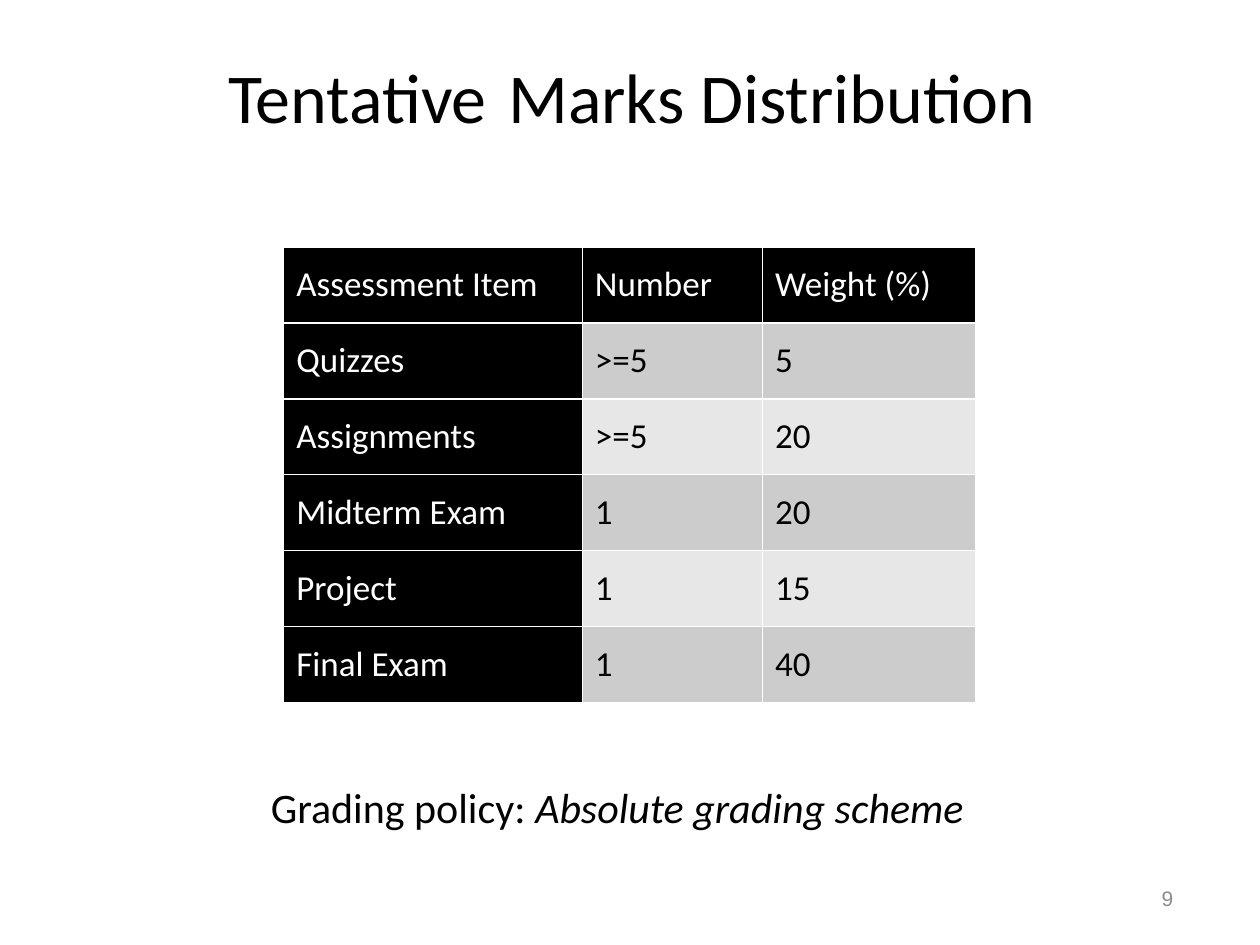
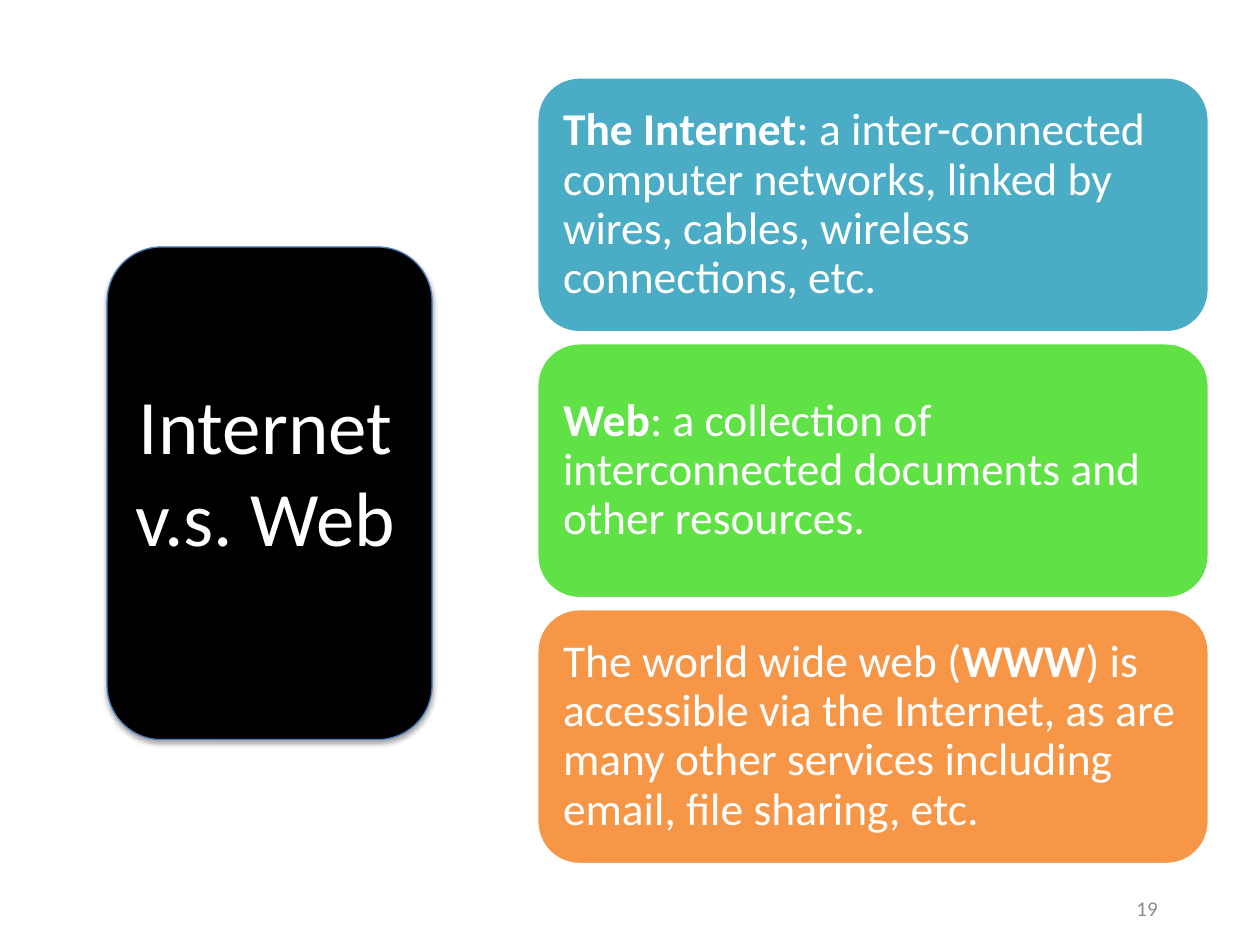
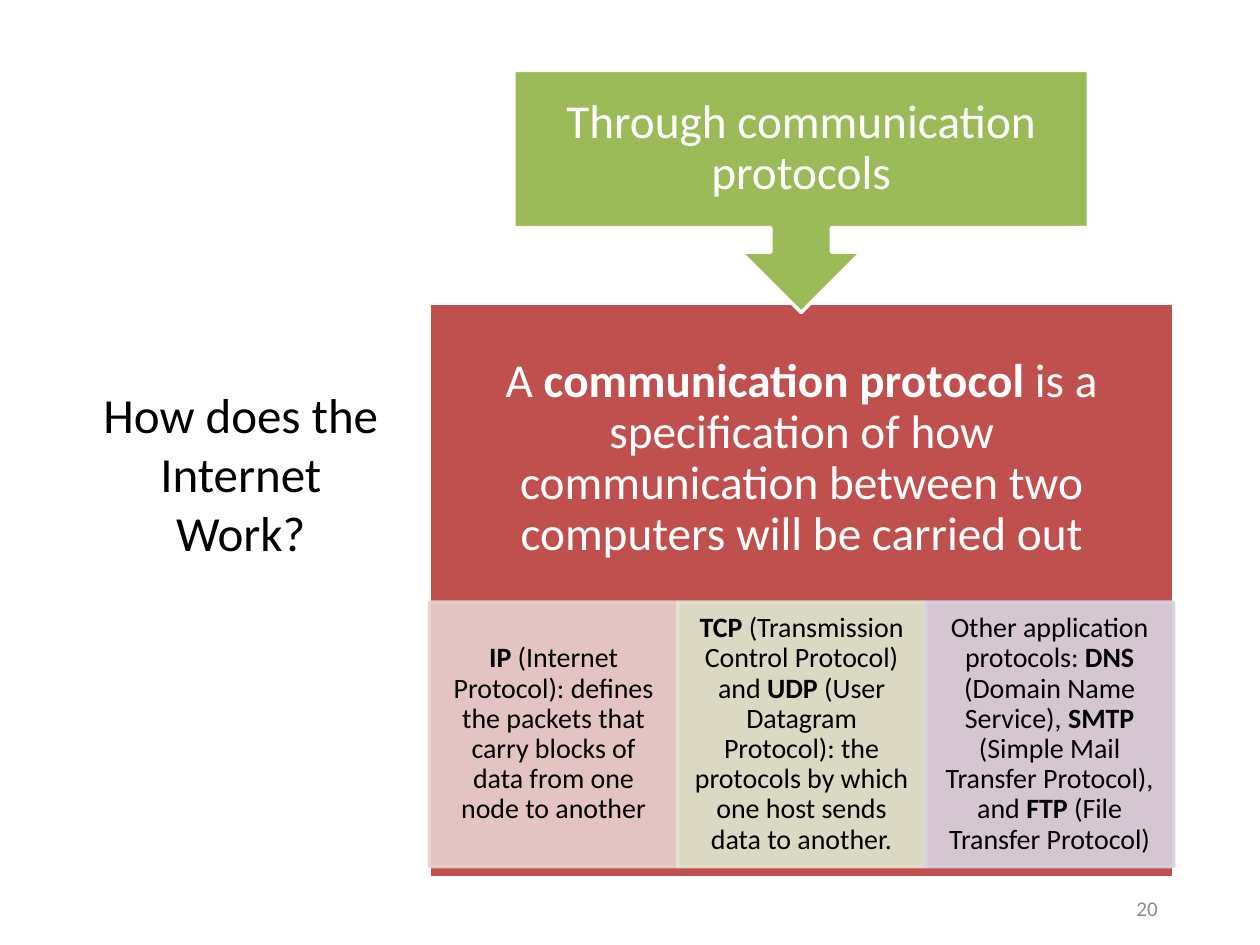
from dataclasses import dataclass
from typing import Any, Optional, Sequence

import lxml.etree
import pptx
import pptx.dml.color
import pptx.enum.shapes
import pptx.enum.text
import pptx.oxml.ns
import pptx.util

Cm = pptx.util.Cm
Pt = pptx.util.Pt
qn = pptx.oxml.ns.qn
Shape = pptx.enum.shapes.MSO_SHAPE
Align = pptx.enum.text.PP_ALIGN
Anchor = pptx.enum.text.MSO_ANCHOR

# Shared style
BODY_FONT = "Calibri"
BLACK, WHITE, NUMBER_GREY = "000000", "FFFFFF", "8C8C8C"
ROW_GREYS = ("CCCCCC", "E7E7E7")
DIAGRAM_SPACING = 0.9


@dataclass(frozen=True)
class Area:
    """A rectangle on the slide, in centimetres."""
    left: float
    top: float
    width: float
    height: float

    def lengths(self) -> list[int]:
        return [Cm(n) for n in (self.left, self.top, self.width, self.height)]


@dataclass(frozen=True)
class Span:
    text: str
    bold: bool = False
    italic: bool = False
    size: Optional[float] = None
    font: Optional[str] = None


@dataclass(frozen=True)
class Panel:
    """A filled box of a diagram; ** in its text switches bold on and off."""
    text: str
    color: str


CARDS = (
    Panel("**The Internet**: a inter-connected computer networks, linked by "
          "wires, cables, wireless connections, etc.", "4BACC6"),
    Panel("**Web**: a collection of interconnected documents and other "
          "resources.", "60E146"),
    Panel("The world wide web (**WWW**) is accessible via the Internet, as are "
          "many other services including email, file sharing, etc.", "F79646"),
)

PROTOCOLS = (
    Panel("**IP** (Internet Protocol): defines the packets that carry blocks "
          "of data from one node to another", "E8D0D0"),
    Panel("**TCP** (Transmission Control Protocol) and **UDP** (User Datagram "
          "Protocol): the protocols by which one host sends data to another.",
          "DEE7D1"),
    Panel("Other application protocols: **DNS** (Domain Name Service), **SMTP** "
          "(Simple Mail Transfer Protocol), and **FTP** (File Transfer "
          "Protocol)", "D8D3E0"),
)

MARKS = (
    ("Assessment Item", "Number", "Weight (%)"),
    ("Quizzes", ">=5", "5"),
    ("Assignments", ">=5", "20"),
    ("Midterm Exam", "1", "20"),
    ("Project", "1", "15"),
    ("Final Exam", "1", "40"),
)
MARKS_WIDTHS = (6.02, 3.63, 4.29)
MARKS_ROW_HEIGHT = 1.53


def rgb(color: str) -> pptx.dml.color.RGBColor:
    return pptx.dml.color.RGBColor.from_string(color)


def marked(text: str) -> list[Span]:
    """Split text at ** into plain and bold spans."""
    return [Span(part, bold=index % 2 == 1)
            for index, part in enumerate(text.split("**")) if part]


# Text
def write_text(frame: Any, text: str | Sequence[Span], *, size: float,
               color: str = BLACK, font: str = BODY_FONT,
               align: Any = Align.LEFT, anchor: Any = Anchor.MIDDLE,
               spacing: Optional[float] = None,
               insets: Optional[tuple[float, float]] = None) -> None:
    frame.word_wrap = True
    frame.vertical_anchor = anchor
    if insets:
        frame.margin_left = frame.margin_right = Cm(insets[0])
        frame.margin_top = frame.margin_bottom = Cm(insets[1])
    para = frame.paragraphs[0]
    para.alignment = align
    if spacing:
        para.line_spacing = spacing
    for span in marked(text) if isinstance(text, str) else text:
        run = para.add_run()
        run.text = span.text
        run.font.name = span.font or font
        run.font.size = Pt(span.size or size)
        run.font.bold = span.bold
        run.font.italic = span.italic
        run.font.color.rgb = rgb(color)


def add_text(page: Any, area: Area, text: str | Sequence[Span],
             **style: Any) -> None:
    box = page.shapes.add_textbox(*area.lengths())
    write_text(box.text_frame, text, **style)


def add_number(page: Any, number: int) -> None:
    add_text(page, Area(22.66, 17.83, 1.47, 0.94), str(number), size=12,
             color=NUMBER_GREY)


# Shapes
def add_box(page: Any, kind: Any, area: Area, fill: str, line: str = WHITE,
            line_width: float = 2) -> Any:
    box = page.shapes.add_shape(kind, *area.lengths())
    box.shadow.inherit = False
    box.fill.solid()
    box.fill.fore_color.rgb = rgb(fill)
    box.line.color.rgb = rgb(line)
    box.line.width = Pt(line_width)
    return box


def set_opacity(parent: Any, percent: int) -> None:
    for color in parent.iter(qn("a:srgbClr")):
        lxml.etree.SubElement(color, qn("a:alpha"), val=str(percent * 1000))


def add_soft_shadow(box: Any) -> None:
    effects = box._element.spPr.find(qn("a:effectLst"))
    shadow = lxml.etree.SubElement(
        effects, qn("a:outerShdw"), blurRad=str(Pt(3.1)), dist=str(Pt(1.8)),
        dir="5400000", rotWithShape="0")
    lxml.etree.SubElement(shadow, qn("a:srgbClr"), val=BLACK)
    set_opacity(shadow, 35)


def set_borders(cell: Any, color: str, width: float) -> None:
    properties = cell._tc.get_or_add_tcPr()
    for index, side in enumerate(("lnL", "lnR", "lnT", "lnB")):
        border = lxml.etree.Element(qn(f"a:{side}"), w=str(Pt(width)))
        fill = lxml.etree.SubElement(border, qn("a:solidFill"))
        lxml.etree.SubElement(fill, qn("a:srgbClr"), val=color)
        properties.insert(index, border)


# Slides
def add_marks_table(page: Any) -> None:
    area = Area(5.72, 4.98, sum(MARKS_WIDTHS), MARKS_ROW_HEIGHT * len(MARKS))
    table = page.shapes.add_table(len(MARKS), len(MARKS_WIDTHS),
                                  *area.lengths()).table
    table.first_row = table.horz_banding = False
    for column, width in zip(table.columns, MARKS_WIDTHS):
        column.width = Cm(width)
    for row_index, row in enumerate(MARKS):
        table.rows[row_index].height = Cm(MARKS_ROW_HEIGHT)
        for column_index, text in enumerate(row):
            cell = table.cell(row_index, column_index)
            heading = row_index == 0 or column_index == 0
            cell.fill.solid()
            cell.fill.fore_color.rgb = rgb(
                BLACK if heading else ROW_GREYS[(row_index - 1) % 2])
            set_borders(cell, WHITE, 1)
            cell.vertical_anchor = Anchor.MIDDLE
            write_text(cell.text_frame, text, size=20,
                       color=WHITE if heading else BLACK)
            # The cell, not its text body, holds the anchor
            cell.vertical_anchor = Anchor.MIDDLE


def build_marks(page: Any) -> None:
    title = [Span("Tentative"), Span(" ", size=44, font="Arial"),
             Span("Marks Distribution")]
    add_text(page, Area(1.07, 0.36, 23.34, 3.02), title, size=40,
             align=Align.CENTER)
    add_marks_table(page)
    policy = [Span("Grading policy: "),
              Span("Absolute grading scheme", italic=True)]
    add_text(page, Area(5.21, 15.62, 14.99, 1.27), policy, size=24,
             anchor=Anchor.TOP)
    add_text(page, Area(22.43, 17.73, 1.47, 0.97), "9", size=12, font="Arial",
             color=NUMBER_GREY, align=Align.RIGHT, anchor=Anchor.TOP)


def build_internet_and_web(page: Any) -> None:
    plate = add_box(page, Shape.ROUNDED_RECTANGLE,
                    Area(2.16, 4.98, 6.55, 9.93), BLACK, "4B7EBC", 0.75)
    add_soft_shadow(plate)
    add_text(page, Area(1.8, 2.82, 7.11, 13.31), "Internet v.s. Web", size=44,
             color=WHITE, align=Align.CENTER)
    for index, card in enumerate(CARDS):
        box = add_box(page, Shape.ROUNDED_RECTANGLE,
                      Area(10.82, 1.55 + 5.36 * index, 13.56, 5.16), card.color)
        write_text(box.text_frame, card.text, size=26, color=WHITE,
                   spacing=DIAGRAM_SPACING, insets=(0.28, 0.28))
    add_number(page, 19)


def build_protocols(page: Any) -> None:
    add_text(page, Area(1.73, 1.4, 6.25, 16.28), "How does the Internet Work?",
             size=28, align=Align.CENTER)

    # Definition with its row of protocols
    diagram: dict[str, Any] = dict(align=Align.CENTER, spacing=DIAGRAM_SPACING)
    headline: dict[str, Any] = dict(size=27, color=WHITE, insets=(0.53, 0.53),
                                    **diagram)
    left, width = 8.66, 15
    add_box(page, Shape.RECTANGLE, Area(left, 6.12, width, 11.58), "C0504D")
    add_text(page, Area(left, 6.12, width, 6.25),
             "A **communication protocol** is a specification of how "
             "communication between two computers will be carried out",
             **headline)
    column = width / len(PROTOCOLS)
    for index, protocol in enumerate(PROTOCOLS):
        box = add_box(page, Shape.RECTANGLE,
                      Area(left + column * index, 12.14, column, 5.33),
                      protocol.color, protocol.color)
        set_opacity(box._element.spPr, 90)
        write_text(box.text_frame, protocol.text, size=16, insets=(0.3, 0.05),
                   **diagram)

    # Callout pointing down at the definition
    callout = add_box(page, Shape.UP_ARROW_CALLOUT,
                      Area(10.36, 1.42, 11.58, 4.88), "9BBB59")
    callout.rotation = 180
    add_text(page, Area(10.36, 1.42, 11.58, 3.15),
             "Through communication protocols", **headline)
    add_number(page, 20)


def main() -> None:
    deck = pptx.Presentation()
    deck.slide_width, deck.slide_height = Cm(25.4), Cm(19.05)
    blank = deck.slide_layouts[6]
    for build in (build_marks, build_internet_and_web, build_protocols):
        build(deck.slides.add_slide(blank))
    deck.save("out.pptx")


if __name__ == "__main__":
    main()
